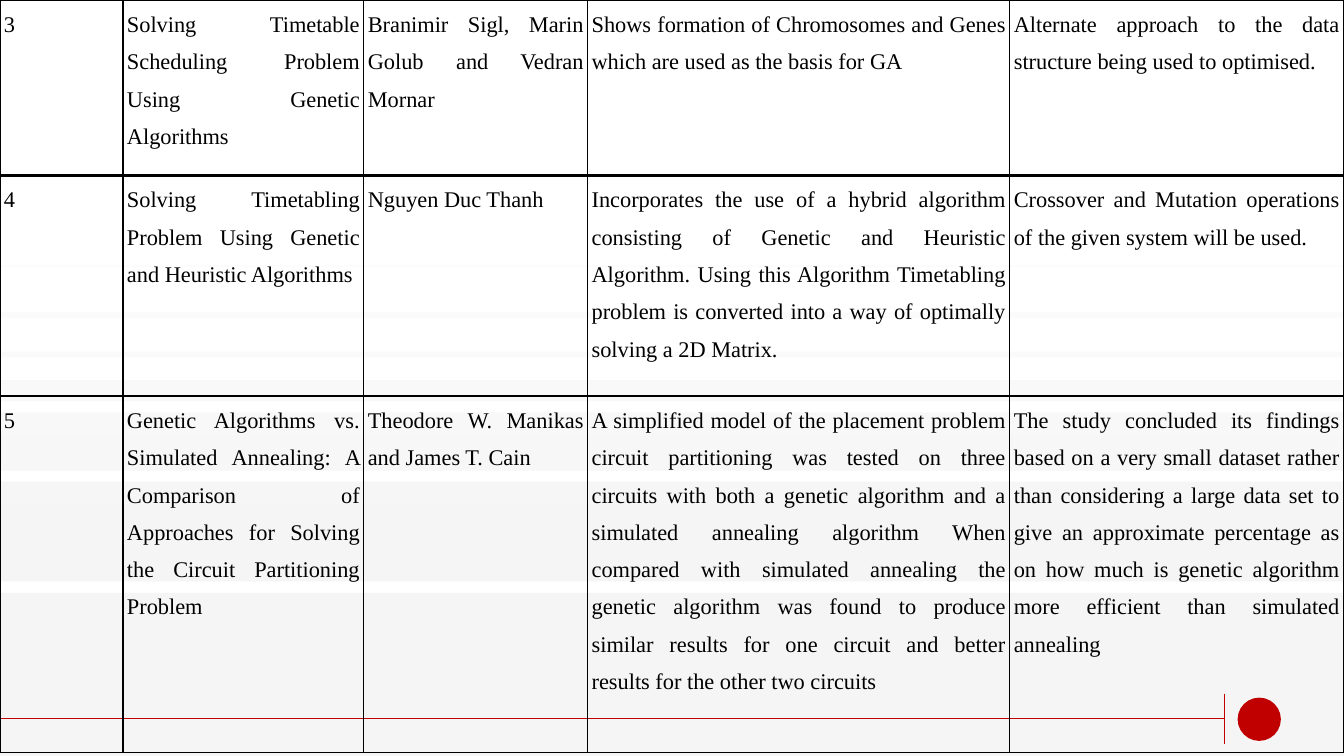
"""Build a literature survey slide: a three-row table over a banded backdrop."""
from dataclasses import dataclass

from lxml import etree
from pptx import Presentation
from pptx import util as u
from pptx.dml.color import RGBColor
from pptx.enum import shapes, text
from pptx.oxml import ns

PAPERS = [
    ("3",
     "Solving Timetable Scheduling Problem Using Genetic Algorithms",
     "Branimir Sigl, Marin Golub and Vedran Mornar",
     "Shows formation of Chromosomes and Genes which are used as the basis for GA",
     "Alternate approach to the data structure being used to optimised."),
    ("4",
     "Solving Timetabling Problem Using Genetic and Heuristic Algorithms",
     "Nguyen Duc Thanh",
     "Incorporates the use of a hybrid algorithm consisting of Genetic and Heuristic "
     "Algorithm. Using this Algorithm Timetabling problem is converted into a way of "
     "optimally solving a 2D Matrix.",
     "Crossover and Mutation operations of the given system will be used."),
    ("5",
     "Genetic Algorithms vs. Simulated Annealing: A Comparison of Approaches for "
     "Solving the Circuit Partitioning Problem",
     "Theodore W. Manikas and James T. Cain",
     "A simplified model of the placement problem circuit partitioning was tested on "
     "three circuits with both a genetic algorithm and a simulated annealing algorithm "
     "When compared with simulated annealing the genetic algorithm was found to produce "
     "similar results for one circuit and better results for the other two circuits",
     "The study concluded its findings based on a very small dataset rather than "
     "considering a large data set to give an approximate percentage as on how much is "
     "genetic algorithm more efficient than simulated annealing"),
]
COLUMN_WIDTHS = (3.1, 6.07, 5.64, 10.64, 8.41)
ROW_HEIGHTS = (4.42, 5.56, 8.99)
RULE_WEIGHTS = (1, 2, 1, 1)
BANDS = [(6.68, 0.05), (7.87, 0.15), (8.86, 0.15), (9.58, 0.53),
         (10.39, 1.47), (12.14, 2.51), (14.94, 4.11)]
WIDTH, HEIGHT = 33.87, 19.05
VEIL_HEIGHT = 18.16
DOT = (31.19, 17.58, 1.09, 1.09)
FOOTER_LINES = [(30.86, 17.48, 30.86, 18.75), (0, 18.11, 30.86, 18.11)]


@dataclass(frozen=True)
class Theme:
    """Colours, font and sizes."""
    ink: str = "000000"
    paper: str = "FFFFFF"
    band: str = "D9D9D9"
    accent: str = "C00000"
    font: str = "Times New Roman"
    body: int = 16
    footer_line: float = 0.5


THEME = Theme()


def colour(value):
    """Return an RGB colour."""
    return RGBColor.from_string(value)


def set_alpha(element, percent):
    """Set the opacity of the last colour inside an element."""
    tint = list(element.iter(ns.qn("a:srgbClr")))[-1]
    etree.SubElement(tint, ns.qn("a:alpha"), val=str(percent * 1000))


def add_plain(page, kind, left, top, width, height):
    """Add a shape without outline or shadow."""
    shape = page.shapes.add_shape(kind, u.Cm(left), u.Cm(top), u.Cm(width), u.Cm(height))
    shape.shadow.inherit = False
    shape.line.fill.background()
    return shape


def add_backdrop(page):
    """Draw the grey bands and the white veil that fades downwards."""
    for top, height in BANDS:
        band = add_plain(page, shapes.MSO_SHAPE.RECTANGLE, 0, top, WIDTH, height)
        band.fill.solid()
        band.fill.fore_color.rgb = colour(THEME.band)
        set_alpha(band.fill.fore_color._xFill, 25)
    veil = add_plain(page, shapes.MSO_SHAPE.RECTANGLE, 0, 0, WIDTH, VEIL_HEIGHT)
    veil.fill.gradient()
    veil.fill.gradient_angle = 270
    for stop, position in zip(veil.fill.gradient_stops, (0.25, 0.75)):
        stop.position = position
        stop.color.rgb = colour(THEME.paper)
    set_alpha(veil.element.spPr.find(ns.qn("a:gradFill")), 0)


def add_footer(page):
    """Draw the dot and the two thin lines at the foot."""
    dot = add_plain(page, shapes.MSO_SHAPE.OVAL, *DOT)
    dot.fill.solid()
    dot.fill.fore_color.rgb = colour(THEME.accent)
    for ends in FOOTER_LINES:
        line = page.shapes.add_connector(shapes.MSO_CONNECTOR.STRAIGHT, *map(u.Cm, ends))
        line.line.color.rgb = colour(THEME.accent)
        line.line.width = u.Pt(THEME.footer_line)
        etree.SubElement(line.element.spPr, ns.qn("a:effectLst"))


def set_borders(cell, top, bottom):
    """Rule the four sides of a cell."""
    properties = cell._tc.get_or_add_tcPr()
    for side, weight in zip("LRTB", (1, 1, top, bottom)):
        rule = etree.SubElement(properties, ns.qn(f"a:ln{side}"), w=str(u.Pt(weight)))
        fill = etree.SubElement(rule, ns.qn("a:solidFill"))
        etree.SubElement(fill, ns.qn("a:srgbClr"), val=THEME.ink)


def fill_cell(cell, wording):
    """Write and format the wording of one cell."""
    cell.fill.background()
    cell.margin_left = cell.margin_right = u.Cm(0.1)
    cell.margin_top = cell.margin_bottom = 0
    cell.text_frame.text = wording
    para = cell.text_frame.paragraphs[0]
    para.alignment = text.PP_ALIGN.JUSTIFY
    para.line_spacing = 1.5
    para.space_after = u.Pt(10)
    span = para.runs[0]
    span.font.name = THEME.font
    span.font.size = u.Pt(THEME.body)
    span.font.color.rgb = colour(THEME.ink)


def add_papers(page):
    """Add the table of papers."""
    frame = page.shapes.add_table(len(PAPERS), len(COLUMN_WIDTHS), 0, 0,
                                  u.Cm(sum(COLUMN_WIDTHS)), u.Cm(sum(ROW_HEIGHTS)))
    table = frame.table
    table.first_row = table.horz_banding = False
    for column, width in zip(table.columns, COLUMN_WIDTHS):
        column.width = u.Cm(width)
    for index, (row, height) in enumerate(zip(table.rows, ROW_HEIGHTS)):
        row.height = u.Cm(height)
        for cell, wording in zip(row.cells, PAPERS[index]):
            set_borders(cell, *RULE_WEIGHTS[index:index + 2])
            fill_cell(cell, wording)


def main():
    """Build and save the deck."""
    deck = Presentation()
    deck.slide_width, deck.slide_height = u.Cm(WIDTH), u.Cm(HEIGHT)
    page = deck.slides.add_slide(deck.slide_layouts[6])
    page.background.fill.solid()
    page.background.fill.fore_color.rgb = colour(THEME.paper)
    add_backdrop(page)
    add_footer(page)
    add_papers(page)
    deck.save("out.pptx")


if __name__ == "__main__":
    main()
